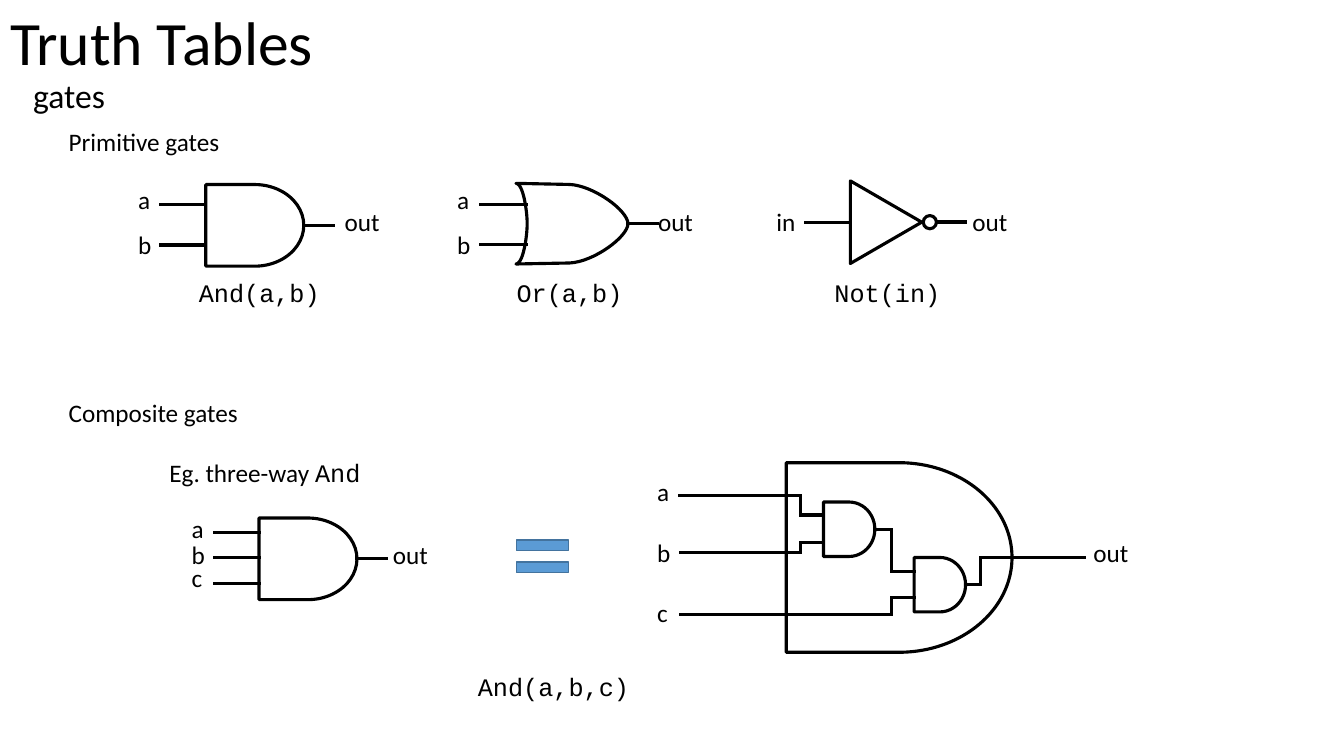
"""Builds the Truth Tables slide with primitive and composite logic gates."""
from itertools import pairwise

from lxml import etree
from pptx import Presentation
from pptx.dml.color import RGBColor
from pptx.enum.shapes import MSO_CONNECTOR, MSO_SHAPE
from pptx.enum.text import MSO_ANCHOR, MSO_AUTO_SIZE, PP_ALIGN
from pptx.oxml.ns import qn
from pptx.util import Pt

STRAIGHT = MSO_CONNECTOR.STRAIGHT
DELAY, TRIANGLE = MSO_SHAPE.FLOWCHART_DELAY, MSO_SHAPE.ISOSCELES_TRIANGLE
CIRCLE, EQUAL = MSO_SHAPE.OVAL, MSO_SHAPE.MATH_EQUAL
MIDDLE, TOP = MSO_ANCHOR.MIDDLE, MSO_ANCHOR.TOP
LEFT, NO_FIT = PP_ALIGN.LEFT, MSO_AUTO_SIZE.NONE

COLORS = {"ink": "000000", "equal": "5B9BD5", "edge": "43739E"}
SANS, MONO = "Calibri", "Courier New"
STROKE = 2.25
SIZE = 18
LABEL_HEIGHT = 22

TITLE = [("Truth Tables", 44, 0), ("gates", 24, 16.5)]
TITLE_BOX = (0, 0, 960, 91.4)
BODY_BOX = (41.8, 86.4, 850, 443)
BODY = [
    ([("Primitive gates", SANS)], 0, 0),
    ([("Composite gates", SANS)], 172, 0),
    ([("Eg. three-way ", SANS), ("And", MONO)], 21.5, 72),
]

LABELS = [
    ("a", 98.6, 142.8), ("b", 98.6, 174.4), ("out", 246.2, 157.9),
    ("a", 326.5, 142.8), ("b", 326.5, 174.4), ("out", 470, 157.9),
    ("in", 554.5, 157.9), ("out", 694.5, 157.9),
    ("a", 136.8, 377.5), ("b", 136.8, 396.2), ("c", 136.8, 412.8),
    ("out", 280.7, 396.2),
    ("a", 469.4, 350.8), ("b", 469.4, 394.8), ("c", 469.4, 437.4),
    ("out", 781, 394.8),
]
CAPTIONS = [
    ("And(a,b)", 142, 209), ("Or(a,b)", 369, 209), ("Not(in)", 596, 209),
    ("And(a,b,c)", 341.3, 490),
]

AND_GATES = [
    {"box": (147, 131.8, 70, 58.3), "inputs": (146.2, 175), "leads": (32.5, 21)},
    {"box": (185, 370, 70, 58.3), "inputs": (380.2, 398.2, 416.9), "leads": (32, 21)},
    {"box": (588.2, 358.6, 36.7, 38.9), "inputs": (367.9, 387.4), "leads": (16.5, 11.6)},
    {"box": (653, 398.2, 36.7, 38.9), "inputs": (408.2, 427), "leads": (16.5, 10.9)},
    {"box": (561.6, 330.5, 161.3, 135.4), "inputs": (), "leads": (0, 0)},
]
WIRES = [
    [(343.4, 146.2), (375.8, 146.2)],
    [(343.4, 174.4), (375.8, 174.4)],
    [(448.6, 159.8), (469.4, 159.8)],
    [(575.3, 159), (607, 159)],
    [(669, 158.6), (689.8, 158.6)],
    [(485.5, 354.2), (571.7, 354.2), (571.7, 367.9)],
    [(486, 394.6), (571.7, 394.6), (571.7, 387.4)],
    [(636.5, 378), (636.5, 408.2)],
    [(486, 439.2), (636.5, 439.2), (636.5, 427)],
    [(700.6, 417.6), (700.6, 398.2), (774.7, 398.2)],
]
OR_CURVES = [
    [(406.8, 131.8), (424, 132.5), (448.6, 150.5), (448.6, 159.8)],
    [(448.6, 159.8), (448.6, 169.2), (424, 187.2), (406.8, 187.9)],
    [(368.6, 188.6), (373.7, 188.6), (376.6, 169.2), (376.6, 159.8)],
    [(376.6, 159.8), (376.6, 150.5), (373.7, 131), (368.6, 131)],
]
CURVE_STEPS = 16


def apply(target, values):
    for name, value in values.items():
        setattr(target, name, value)


def color(name):
    return RGBColor.from_string(COLORS[name])


def place(shape, box):
    apply(shape, dict(zip(("left", "top", "width", "height"), map(Pt, box))))


def add_span(para, text, size=SIZE, font=SANS):
    span = para.add_run()
    span.text = text
    apply(span.font, {"name": font, "size": Pt(size)})
    span.font.color.rgb = color("ink")


def outline(shape):
    shape.shadow.inherit = False
    shape.fill.background()
    shape.line.color.rgb = color("ink")
    shape.line.width = Pt(STROKE)
    return shape


def add_outline(page, kind, box):
    return outline(page.shapes.add_shape(kind, *map(Pt, box)))


def add_wire(page, points):
    for start, end in pairwise(points):
        wire = page.shapes.add_connector(STRAIGHT, *map(Pt, start + end))
        wire.line.color.rgb = color("ink")
        wire.line.width = Pt(STROKE)
        properties = wire._element.spPr
        properties.find(qn("a:ln")).set("cap", "sq")
        etree.SubElement(properties, qn("a:effectLst"))


def add_and_gate(page, box, inputs, leads):
    left, top, width, height = box
    lead_in, lead_out = leads
    for y in inputs:
        add_wire(page, [(left - lead_in, y), (left, y)])
    if lead_out:
        right, middle = left + width, top + height / 2
        add_wire(page, [(right, middle), (right + lead_out, middle)])
    add_outline(page, DELAY, box)


def curve_points(controls):
    for step in range(CURVE_STEPS + 1):
        t = step / CURVE_STEPS
        weights = ((1 - t) ** 3, 3 * t * (1 - t) ** 2, 3 * t * t * (1 - t), t ** 3)
        yield tuple(Pt(sum(w * v for w, v in zip(weights, axis))) for axis in zip(*controls))


def add_or_gate(page):
    points = [point for curve in OR_CURVES for point in curve_points(curve)]
    builder = page.shapes.build_freeform(*points[0], scale=1.0)
    builder.add_line_segments(points[1:], close=True)
    outline(builder.convert_to_shape())


def add_label(page, text, x, middle, font=SANS, width=40):
    box = page.shapes.add_textbox(Pt(x), Pt(middle - LABEL_HEIGHT / 2), Pt(width), Pt(LABEL_HEIGHT))
    apply(box.text_frame, {"margin_left": 0, "margin_right": 0, "margin_top": 0,
                           "margin_bottom": 0, "vertical_anchor": MIDDLE, "word_wrap": True})
    add_span(box.text_frame.paragraphs[0], text, font=font)


def next_para(frame, index, indent):
    para = frame.add_paragraph() if index else frame.paragraphs[0]
    properties = para._p.get_or_add_pPr()
    properties.set("marL", str(Pt(indent)))
    properties.set("indent", "0")
    etree.SubElement(properties, qn("a:buNone"))
    return para


def fill_title(page):
    place(page.shapes.title, TITLE_BOX)
    frame = page.shapes.title.text_frame
    apply(frame, {"vertical_anchor": MIDDLE, "auto_size": NO_FIT, "word_wrap": True})
    for index, (text, size, indent) in enumerate(TITLE):
        para = next_para(frame, index, indent)
        apply(para, {"alignment": LEFT, "line_spacing": 0.9, "space_before": Pt(0)})
        add_span(para, text, size)


def fill_body(page):
    body = page.placeholders[1]
    place(body, BODY_BOX)
    frame = body.text_frame
    apply(frame, {"vertical_anchor": TOP, "auto_size": NO_FIT, "word_wrap": True})
    for index, (spans, gap, indent) in enumerate(BODY):
        para = next_para(frame, index, indent)
        apply(para, {"alignment": LEFT, "line_spacing": 1.0, "space_before": Pt(gap)})
        for text, font in spans:
            add_span(para, text, font=font)


def main():
    deck = Presentation()
    apply(deck, {"slide_width": Pt(960), "slide_height": Pt(540)})
    page = deck.slides.add_slide(deck.slide_layouts[1])
    fill_title(page)
    fill_body(page)
    for gate in AND_GATES:
        add_and_gate(page, **gate)
    for points in WIRES:
        add_wire(page, points)
    add_or_gate(page)
    add_outline(page, TRIANGLE, (603.4, 133.2, 59, 51)).rotation = 90
    add_outline(page, CIRCLE, (659.5, 154, 9.4, 9.4))
    for label in LABELS:
        add_label(page, *label)
    for caption in CAPTIONS:
        add_label(page, *caption, font=MONO, width=120)
    equal = add_outline(page, EQUAL, (362.2, 381.6, 50.4, 31.7))
    equal.adjustments[0], equal.adjustments[1] = 0.235, 0.259
    equal.fill.solid()
    equal.fill.fore_color.rgb = color("equal")
    equal.line.color.rgb = color("edge")
    equal.line.width = Pt(1)
    deck.save("out.pptx")


if __name__ == "__main__":
    main()
